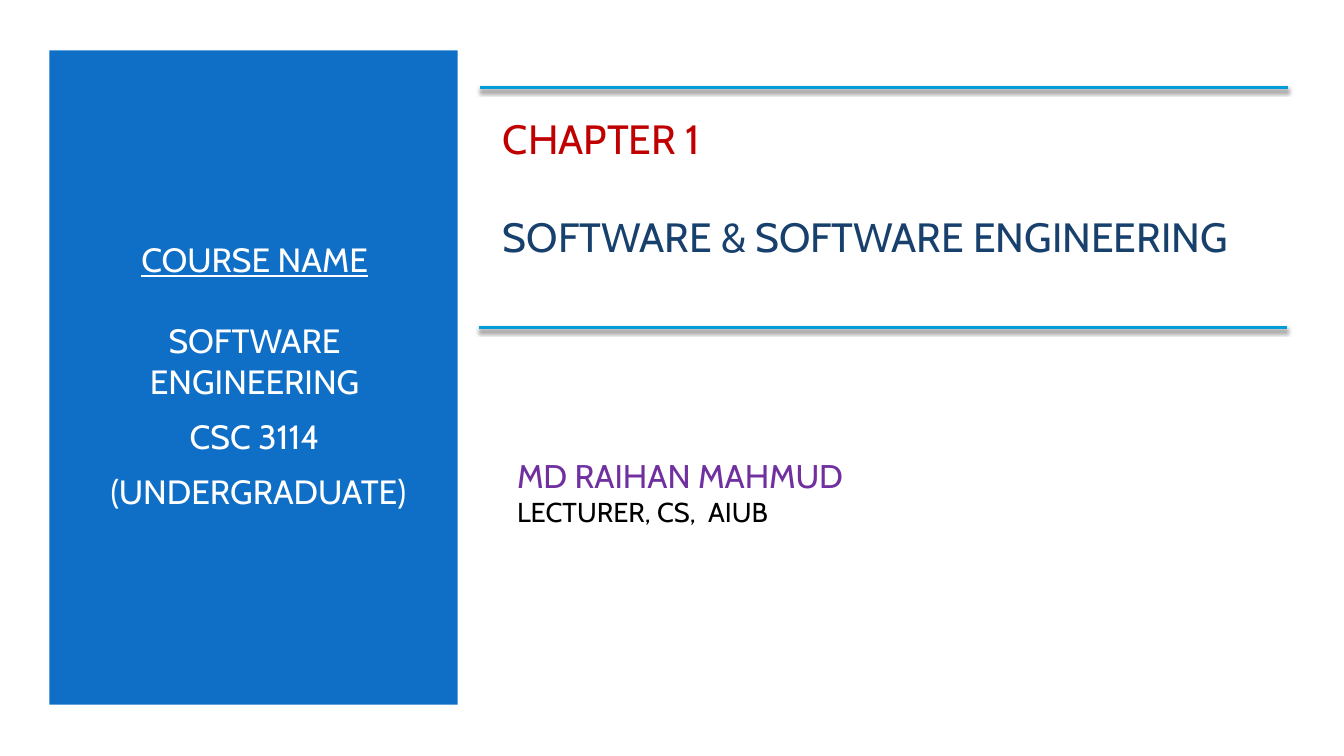
"""Builds the title slide of a software engineering lecture."""
from lxml import etree
from pptx import Presentation, util as u
from pptx.dml.color import RGBColor
from pptx.enum import shapes, text
from pptx.oxml import ns

FONT = "Cabin"
COLORS = {
    "panel": "0F6FC6",
    "course": "FFFFFF",
    "chapter": "C00000",
    "topic": "17406D",
    "lecturer": "7030A0",
    "role": "000000",
    "rule": "009DD9",
    "shadow": "000000",
}


def rgb(name):
    """Return the named colour."""
    return RGBColor.from_string(COLORS[name])


def add_panel(slide, left, top, width, height):
    """Draw the plain coloured panel behind the course details."""
    panel = slide.shapes.add_shape(
        shapes.MSO_SHAPE.RECTANGLE, *map(u.Inches, (left, top, width, height)))
    panel.shadow.inherit = False
    panel.fill.solid()
    panel.fill.fore_color.rgb = rgb("panel")
    panel.line.fill.background()


def add_frame(slide, left, top, width, height):
    """Add a wrapping, vertically centred text box and return its text frame."""
    frame = slide.shapes.add_textbox(
        *map(u.Inches, (left, top, width, height))).text_frame
    frame.word_wrap = True
    frame.vertical_anchor = text.MSO_ANCHOR.MIDDLE
    return frame


def write(frame, words, size, color, align=text.PP_ALIGN.LEFT, before=0, underline=False):
    """Write one formatted paragraph, using the empty first one if it is free."""
    first = frame.paragraphs[0]
    paragraph = frame.add_paragraph() if first.runs else first
    paragraph.alignment = align
    paragraph.space_before = u.Pt(before)
    run = paragraph.add_run()
    run.text = words
    run.font.name = FONT
    run.font.size = u.Pt(size)
    run.font.underline = underline
    run.font.color.rgb = rgb(color)


def add_rule(slide, left, top, length):
    """Draw a horizontal rule with a soft shadow below it."""
    rule = slide.shapes.add_connector(
        shapes.MSO_CONNECTOR.STRAIGHT,
        *map(u.Inches, (left, top, left + length, top)))
    rule.line.color.rgb = rgb("rule")
    rule.line.width = u.Pt(2)
    effects = etree.SubElement(rule._element.spPr, ns.qn("a:effectLst"))
    shadow = etree.SubElement(
        effects, ns.qn("a:outerShdw"), blurRad=str(u.Pt(3)), dist=str(u.Pt(2)),
        dir="5400000", rotWithShape="0")
    shade = etree.SubElement(shadow, ns.qn("a:srgbClr"), val=COLORS["shadow"])
    etree.SubElement(shade, ns.qn("a:alpha"), val="55000")


def main():
    """Build and save the slide."""
    deck = Presentation()
    deck.slide_width, deck.slide_height = u.Inches(13.33), u.Inches(7.5)
    slide = deck.slides.add_slide(deck.slide_layouts[6])

    add_panel(slide, 0.49, 0.5, 4.05, 6.49)
    course = add_frame(slide, 0.84, 1.1, 3.37, 5.25)
    for words, before in (("COURSE NAME", 0), ("SOFTWARE ENGINEERING", 29),
                          ("CSC 3114", 10.8), (" (UNDERGRADUATE)", 10.8)):
        write(course, words, 24, "course", align=text.PP_ALIGN.CENTER,
              before=before, underline=before == 0)

    chapter = add_frame(slide, 4.89, 1.1, 7.85, 1.51)
    write(chapter, "CHAPTER 1", 29.2, "chapter")
    write(chapter, "SOFTWARE & SOFTWARE ENGINEERING", 29.2, "topic", before=35)

    lecturer = add_frame(slide, 5.03, 4.1, 6.66, 1.56)
    write(lecturer, "MD RAIHAN MAHMUD", 23.4, "lecturer")
    write(lecturer, "LECTURER, CS,  AIUB", 19.5, "role")

    for left, top in ((4.76, 0.87), (4.75, 3.25)):
        add_rule(slide, left, top, 8.01)

    deck.save("out.pptx")


if __name__ == "__main__":
    main()
